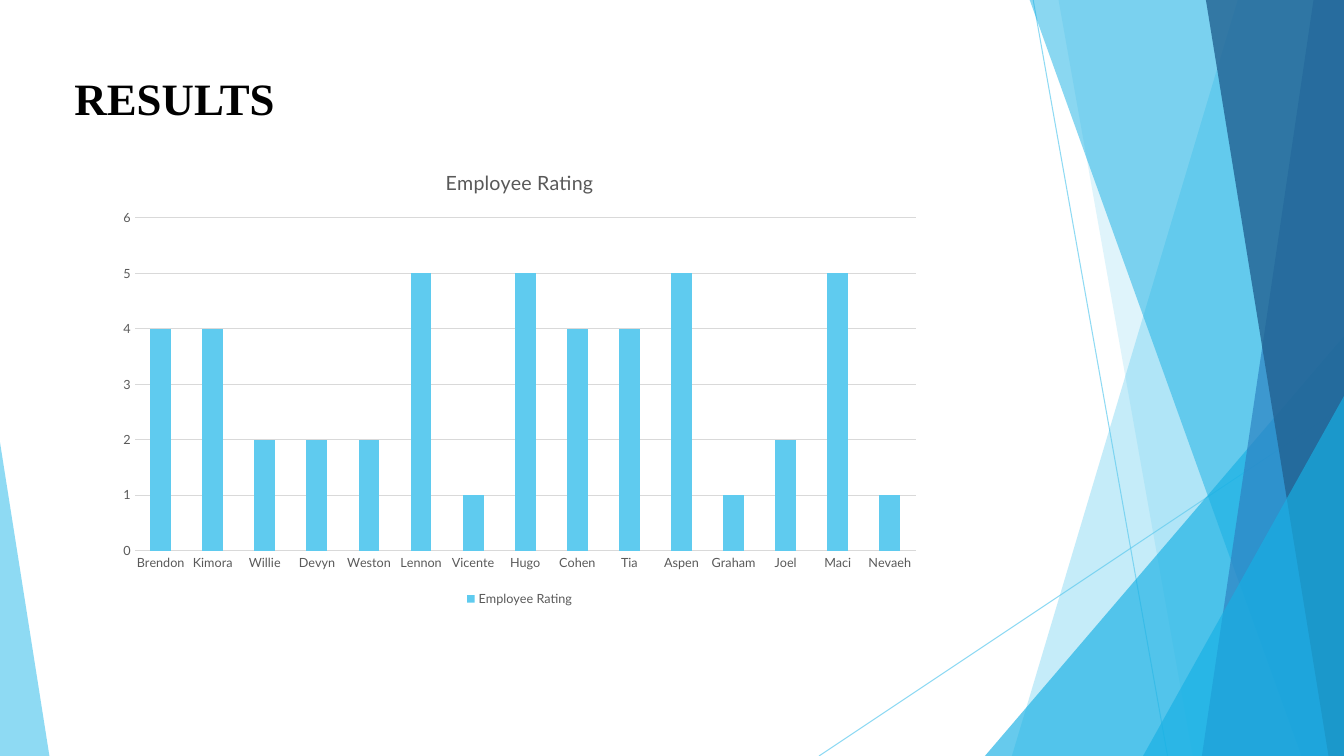
from pptx import Presentation
from pptx import util as u
from pptx.chart import data as cd
from pptx.dml import color
from pptx.enum import chart as ce, shapes, text
from pptx.oxml import ns
from lxml import etree

Pt = u.Pt
W, H, TOP = 960, 540, -0.6
COLORS = {"sky": "5FCBEF", "cyan": "17B0E4", "blue": "2E83C3", "navy": "226292",
          "grey": "595959", "grid": "D9D9D9", "black": "000000"}


def paint(fmt, name, alpha=100):
    """Solid colour for a fill, with opacity in percent."""
    fmt.solid()
    fmt.fore_color.rgb = color.RGBColor.from_string(COLORS[name])
    if alpha < 100:
        clr = fmt._xPr.find(".//" + ns.qn("a:srgbClr"))
        etree.SubElement(clr, ns.qn("a:alpha"), val=str(alpha * 1000))


def style_font(font, size, name="grey", face="Lato", bold=False):
    font.size, font.name, font.bold = Pt(size), face, bold
    font.color.rgb = color.RGBColor.from_string(COLORS[name])


prs = Presentation()
prs.slide_width, prs.slide_height = Pt(W), Pt(H)
s = prs.slides.add_slide(prs.slide_layouts[5])

# Thin crossing lines
for x1, y1, x2, y2 in [(738, 0, 834, H), (W, 290, 585, H)]:
    ln = s.shapes.add_connector(shapes.MSO_CONNECTOR.STRAIGHT,
                                Pt(x1), Pt(y1), Pt(x2), Pt(y2))
    ln.line.width = Pt(0.75)
    paint(ln.line.fill, "sky", 70)
    etree.SubElement(ln._element.spPr, ns.qn("a:effectLst"))

# Facets from back to front: bands (top x, bottom x) reach the right edge,
# triangles (left, top, width, apex) stand on the bottom edge
facets = [
    ("band", (884.3, 722.8), "sky", 36),
    ("band", (756, 852), "sky", 20),
    ("triangle", (703.5, 240, 256.5, 1), "cyan", 66),
    ("band", (735.3, 929.5), "cyan", 50),
    ("band", (938.3, 858.5), "blue", 70),
    ("band", (861.3, 949), "navy", 80),
    ("triangle", (816.5, 283, 143.5, 1), "cyan", 66),
    ("triangle", (0, 316, 35.3, 0), "sky", 70),
]
for kind, geometry, name, alpha in facets:
    if kind == "band":
        x_top, x_bottom = geometry
        fb = s.shapes.build_freeform(Pt(x_top), Pt(TOP))
        fb.add_line_segments([(Pt(W), Pt(TOP)), (Pt(W), Pt(H)), (Pt(x_bottom), Pt(H))])
        sp = fb.convert_to_shape()
    else:
        x, y, width, apex = geometry
        sp = s.shapes.add_shape(shapes.MSO_SHAPE.ISOSCELES_TRIANGLE,
                                Pt(x), Pt(y), Pt(width), Pt(H - y))
        sp.adjustments[0] = apex
    sp.shadow.inherit = False
    sp.line.fill.background()
    paint(sp.fill, name, alpha)

# Title
title = s.shapes.title
title.left, title.top, title.width, title.height = Pt(46), Pt(47), Pt(546.5), Pt(46)
tf = title.text_frame
tf.word_wrap = True
tf.vertical_anchor = text.MSO_ANCHOR.MIDDLE
p = tf.paragraphs[0]
p.alignment = text.PP_ALIGN.LEFT
r = p.add_run()
r.text = "RESULTS"
style_font(r.font, 32, "black", "Times New Roman", True)

# Employee rating chart
ratings = {"Brendon": 4, "Kimora": 4, "Willie": 2, "Devyn": 2, "Weston": 2,
           "Lennon": 5, "Vicente": 1, "Hugo": 5, "Cohen": 4, "Tia": 4,
           "Aspen": 5, "Graham": 1, "Joel": 2, "Maci": 5, "Nevaeh": 1}
data = cd.CategoryChartData()
data.categories = list(ratings)
data.add_series("Employee Rating", list(ratings.values()))
chart = s.shapes.add_chart(ce.XL_CHART_TYPE.COLUMN_STACKED, Pt(76.3), Pt(107.3),
                           Pt(589.7), Pt(329), data).chart
style_font(chart.font, 10, "black")

chart.has_title = True
r = chart.chart_title.text_frame.paragraphs[0].add_run()
r.text = "Employee Rating"
style_font(r.font, 14)
chart.chart_title.include_in_layout = False

chart.has_legend = True
chart.legend.position = ce.XL_LEGEND_POSITION.BOTTOM
chart.legend.include_in_layout = False
style_font(chart.legend.font, 9)

plot = chart.plots[0]
plot.gap_width, plot.overlap, plot.vary_by_categories = 150, 100, False
paint(plot.series[0].format.fill, "sky")

for axis in (chart.category_axis, chart.value_axis):
    axis.major_tick_mark = axis.minor_tick_mark = ce.XL_TICK_MARK.NONE
    axis.format.line.fill.background()
    style_font(axis.tick_labels.font, 9)
va = chart.value_axis
va.minimum_scale, va.maximum_scale, va.major_unit = 0, 6, 1
va.has_major_gridlines = True
grid = va.major_gridlines.format.line
grid.width = Pt(0.75)
paint(grid.fill, "grid")

prs.save("out.pptx")
